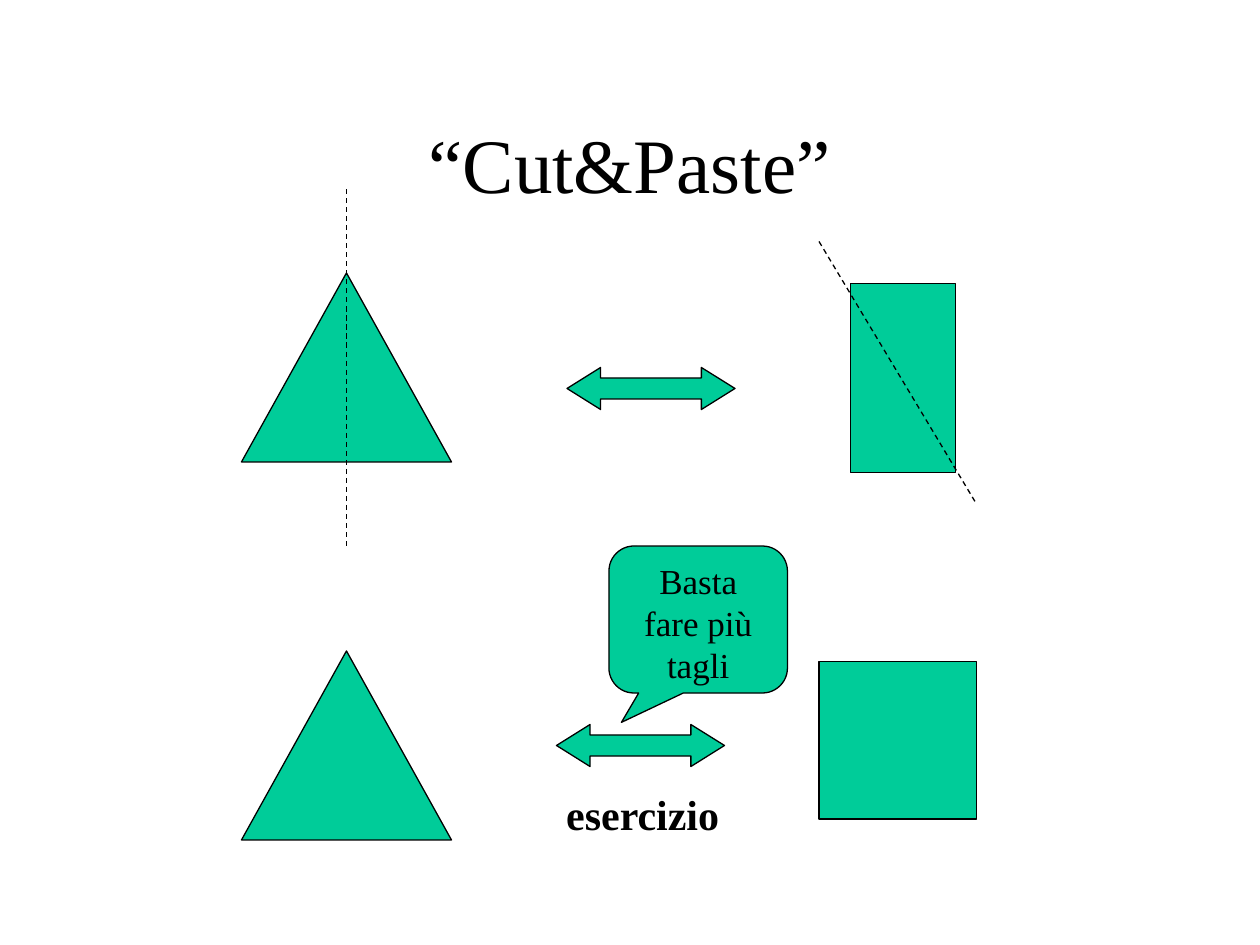
from lxml import etree
from pptx import Presentation
from pptx.dml.color import RGBColor
from pptx.enum.dml import MSO_LINE
from pptx.enum.shapes import MSO_CONNECTOR, MSO_SHAPE
from pptx.enum.text import MSO_ANCHOR, PP_ALIGN
from pptx.oxml.ns import qn
from pptx.util import Emu, Pt

TRIANGLE = MSO_SHAPE.ISOSCELES_TRIANGLE
ARROW = MSO_SHAPE.LEFT_RIGHT_ARROW
RECTANGLE = MSO_SHAPE.RECTANGLE
CALLOUT = MSO_SHAPE.ROUNDED_RECTANGULAR_CALLOUT
STRAIGHT = MSO_CONNECTOR.STRAIGHT
DASH = MSO_LINE.DASH
CENTER, LEFT = PP_ALIGN.CENTER, PP_ALIGN.LEFT
MIDDLE, TOP = MSO_ANCHOR.MIDDLE, MSO_ANCHOR.TOP

PX = 9525  # EMU per px, 96 px to the inch
GREEN, BLACK = "00CC99", "000000"


def color(hex_value):
    return RGBColor.from_string(hex_value)


def write(shape, text, align, anchor, wrap, **font_values):
    """Put one paragraph of black serif text into a shape."""
    frame = shape.text_frame
    frame.word_wrap = wrap
    frame.vertical_anchor = anchor
    para = frame.paragraphs[0]
    para.alignment = align
    span = para.add_run()
    span.text = text
    span.font.name = "Times New Roman"
    span.font.color.rgb = color(BLACK)
    for name, value in font_values.items():
        setattr(span.font, name, value)


deck = Presentation()
deck.slide_width, deck.slide_height = Emu(960 * PX), Emu(720 * PX)
page = deck.slides.add_slide(deck.slide_layouts[6])

title = page.shapes.add_textbox(*[Emu(v * PX) for v in (72, 64, 816, 120)])
write(title, "“Cut&Paste”", CENTER, MIDDLE, True, size=Pt(44))

# Kind, (left, top, width, height), adjustments
figures = [
    (TRIANGLE, (184, 496, 160, 144), [0.5]),
    (ARROW, (424, 552, 128, 32), [0.5, 0.8]),
    (RECTANGLE, (624, 504, 120, 120), []),
    (TRIANGLE, (184, 208, 160, 144), [0.5]),
    (RECTANGLE, (648, 216, 80, 144), []),
    (ARROW, (432, 280, 128, 32), [0.5, 0.8]),
    (CALLOUT, (464, 416, 136, 112), [-0.43, 0.7, 0.17]),
]
for kind, place, adjustments in figures:
    figure = page.shapes.add_shape(kind, *[Emu(v * PX) for v in place])
    figure.shadow.inherit = False
    figure.fill.solid()
    figure.fill.fore_color.rgb = color(GREEN)
    figure.line.color.rgb = color(BLACK)
    figure.line.width = Pt(0.75)
    for index, value in enumerate(adjustments):
        figure.adjustments[index] = value
    if kind == CALLOUT:
        write(figure, "Basta fare più tagli", CENTER, TOP, True, size=Pt(20))

cuts = [(264, 144, 264, 416), (624, 184, 744, 384)]
for ends in cuts:
    cut = page.shapes.add_connector(STRAIGHT, *[Emu(v * PX) for v in ends])
    cut.line.color.rgb = color(BLACK)
    cut.line.width = Pt(0.75)
    cut.line.dash_style = DASH
    etree.SubElement(cut._element.spPr, qn("a:effectLst"))

exercise = page.shapes.add_textbox(*[Emu(v * PX) for v in (422, 596, 136, 48)])
write(exercise, "esercizio", LEFT, TOP, False, size=Pt(24), bold=True)

deck.save("out.pptx")
